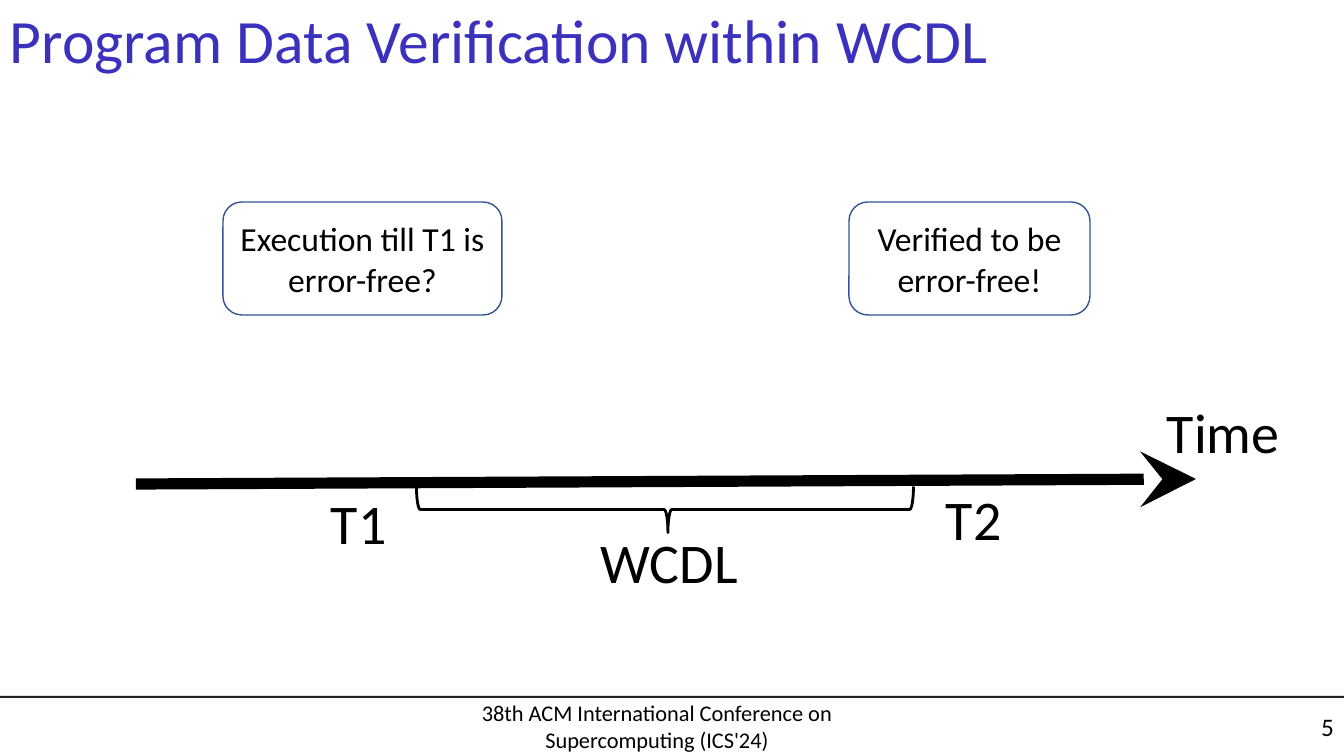
from dataclasses import dataclass

from lxml import etree
from pptx import Presentation
from pptx import util as u
from pptx.dml.color import RGBColor
from pptx.enum import shapes, text
from pptx.oxml.ns import qn

EMU_PER_PX = u.Inches(7.5) / 756


def px(n):
    return u.Emu(round(n * EMU_PER_PX))


@dataclass(frozen=True)
class Theme:
    font: str = "Calibri"
    title: str = "3B31BD"
    ink: str = "000000"
    rule: str = "231F20"
    outline: str = "325491"
    title_size: int = 44
    label_size: int = 40
    box_size: int = 24
    number_size: int = 18
    footer_size: int = 16


def write(tf, content, *, size, color, font, align=text.PP_ALIGN.LEFT,
          anchor=text.MSO_ANCHOR.MIDDLE, wrap=True, grow=False):
    tf.word_wrap = wrap
    tf.vertical_anchor = anchor
    tf.auto_size = (text.MSO_AUTO_SIZE.SHAPE_TO_FIT_TEXT if grow
                    else text.MSO_AUTO_SIZE.NONE)
    for i, line in enumerate(content.split("\n")):
        p = tf.add_paragraph() if i else tf.paragraphs[0]
        p.alignment = align
        r = p.add_run()
        r.text = line
        r.font.name = font
        r.font.size = u.Pt(size)
        r.font.color.rgb = RGBColor.from_string(color)


class SlideBuilder:
    def __init__(self, slide, theme):
        self.shapes = slide.shapes
        self.theme = theme

    def textbox(self, content, box, **fmt):
        sp = self.shapes.add_textbox(*map(px, box))
        write(sp.text_frame, content, **{
            "font": self.theme.font, "color": self.theme.ink, **fmt})

    def label(self, content, box):
        self.textbox(content, box, size=self.theme.label_size,
                     anchor=text.MSO_ANCHOR.TOP, wrap=False, grow=True)

    def shape(self, kind, box, fill=None, line=None, width=1):
        sp = self.shapes.add_shape(kind, *map(px, box))
        sp.shadow.inherit = False
        if fill:
            sp.fill.solid()
            sp.fill.fore_color.rgb = RGBColor.from_string(fill)
        else:
            sp.fill.background()
        if line:
            sp.line.color.rgb = RGBColor.from_string(line)
            sp.line.width = u.Pt(width)
        else:
            sp.line.fill.background()
        return sp

    def callout(self, content, box):
        sp = self.shape(shapes.MSO_SHAPE.ROUNDED_RECTANGLE, box,
                        line=self.theme.outline)
        write(sp.text_frame, content, size=self.theme.box_size,
              color=self.theme.ink, font=self.theme.font,
              align=text.PP_ALIGN.CENTER)

    def brace(self, box, adjustments):
        sp = self.shape(shapes.MSO_SHAPE.LEFT_BRACE, box,
                        line=self.theme.ink, width=2)
        sp.rotation = 270
        for i, value in enumerate(adjustments):
            sp.adjustments[i] = value

    def arrow(self, start, end, width):
        cx = self.shapes.add_connector(shapes.MSO_CONNECTOR.STRAIGHT,
                                       *map(px, (*start, *end)))
        cx.line.color.rgb = RGBColor.from_string(self.theme.ink)
        cx.line.width = u.Pt(width)
        etree.SubElement(cx.line._get_or_add_ln(), qn("a:tailEnd"),
                         type="stealth", w="lg", len="lg")
        etree.SubElement(cx._element.spPr, qn("a:effectLst"))


def main():
    prs = Presentation()
    prs.slide_width, prs.slide_height = px(1344), px(756)
    theme = Theme()
    s = SlideBuilder(prs.slides.add_slide(prs.slide_layouts[6]), theme)

    s.shape(shapes.MSO_SHAPE.RECTANGLE, (0, 696, 1344, 2), fill=theme.rule)
    s.textbox("38th ACM International Conference on Supercomputing (ICS'24)",
              (416, 703, 482, 46), size=theme.footer_size,
              align=text.PP_ALIGN.CENTER)
    s.textbox("Program Data Verification within WCDL", (0, 0, 1089, 77),
              size=theme.title_size, color=theme.title)

    s.arrow((136, 484), (1196, 479), width=8)
    s.label("T1", (321, 484, 85, 78))
    s.label("T2", (936, 480, 85, 78))
    s.label("Time", (1157, 393, 137, 78))
    s.callout("Execution till T1 is error-free?", (223, 202, 279, 113))
    s.brace((642, 261, 46, 497), (0.083, 0.506))
    s.label("WCDL", (591, 523, 190, 78))
    s.callout("Verified to be\nerror-free!", (849, 202, 241, 113))
    s.textbox("5", (1247, 706, 97, 40), size=theme.number_size,
              align=text.PP_ALIGN.RIGHT)

    prs.save("out.pptx")


if __name__ == "__main__":
    main()
